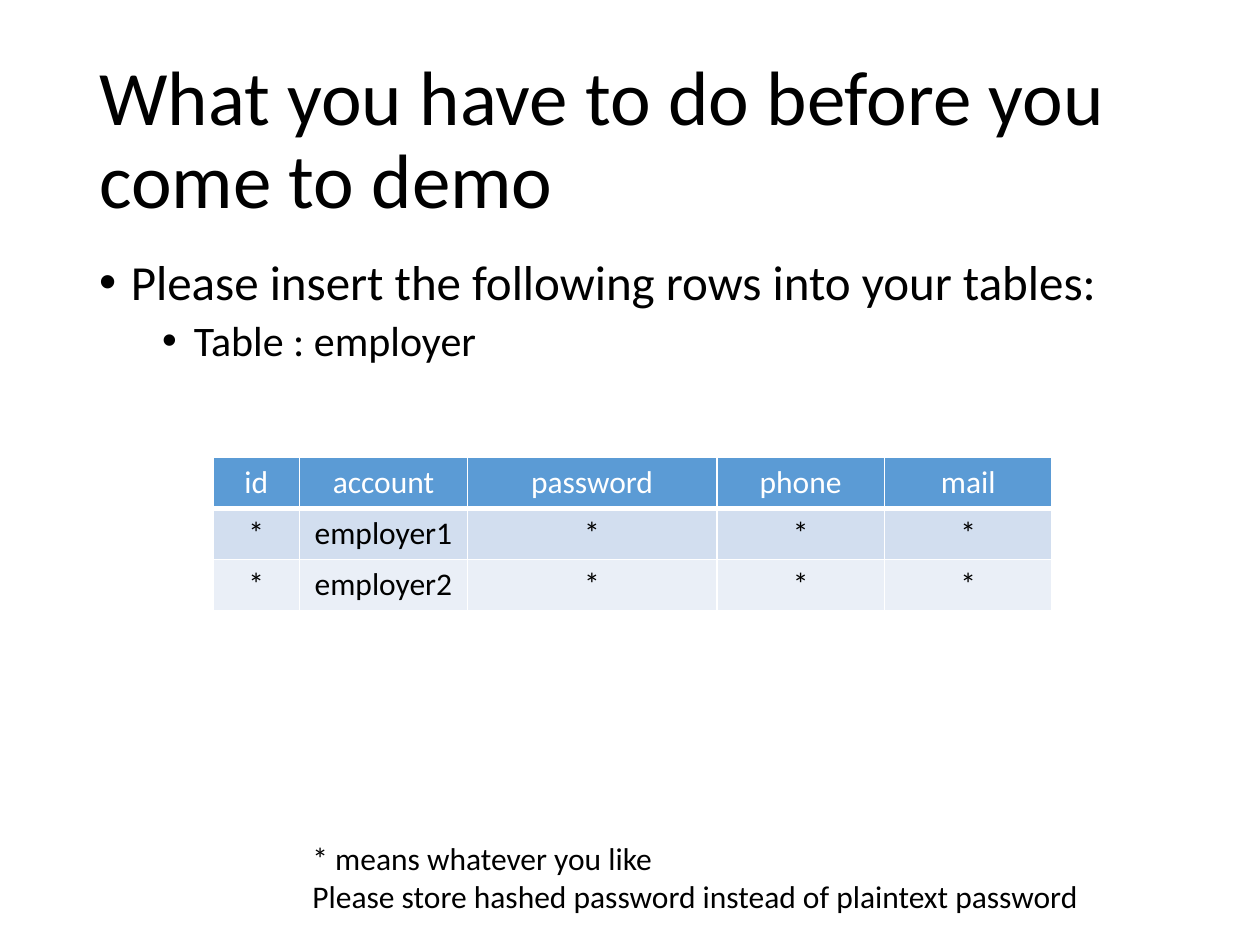
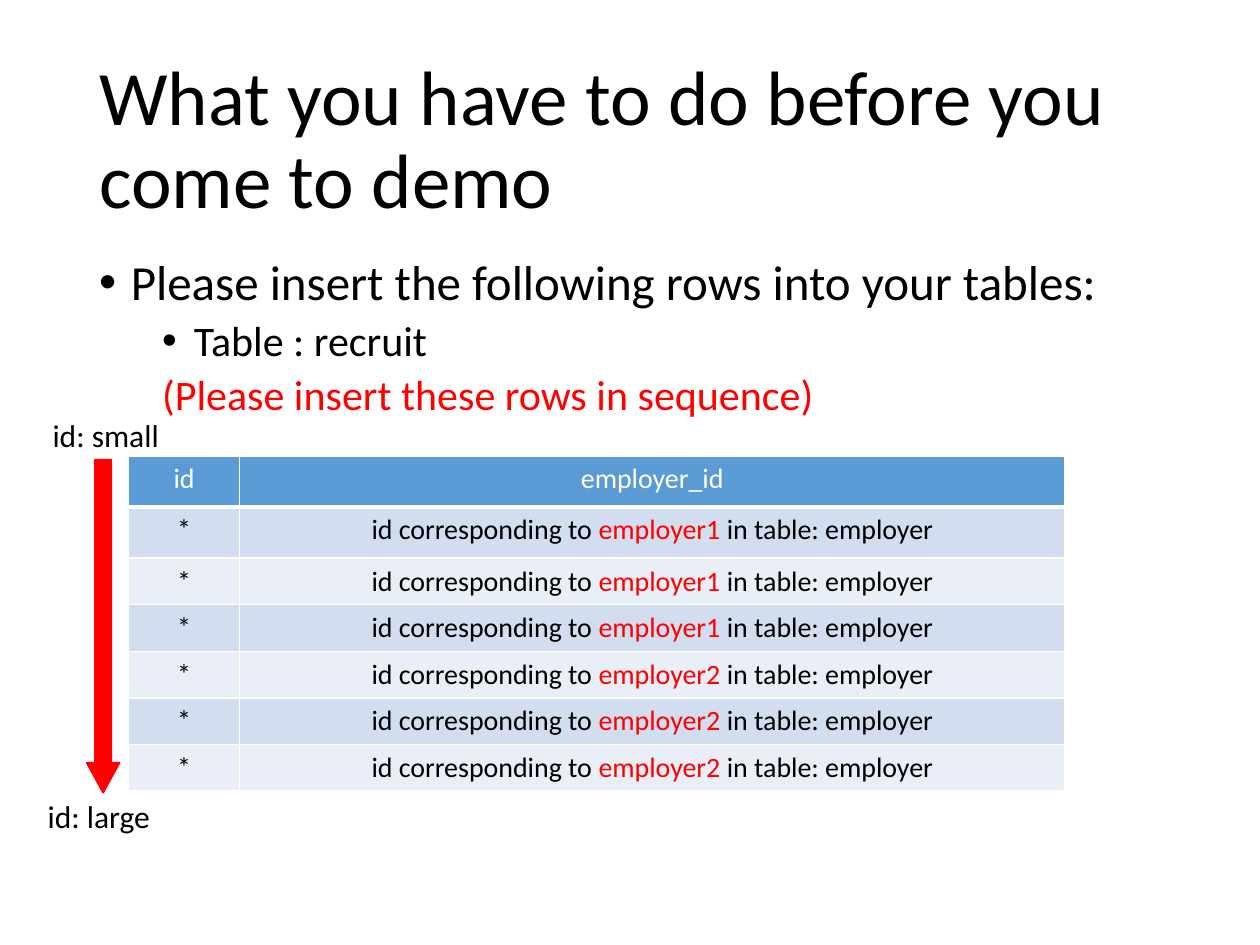
"""Build two slides listing the table rows to insert before the demo."""
from lxml.etree import SubElement
from pptx import Presentation
from pptx.dml.color import RGBColor
from pptx.enum.shapes import MSO_SHAPE as Shape
from pptx.enum.text import MSO_ANCHOR as Anchor, PP_ALIGN as Align
from pptx.oxml.ns import qn
from pptx.util import Cm, Pt

BLACK, WHITE, RED = "000000", "FFFFFF", "FF0000"
HEADER_BLUE = "5B9BD5"
BANDS = ["D2DEEF", "EAEFF7"]
TITLE = "What you have to do before you come to demo"
REQUEST = "Please insert the following rows into your tables:"


def rgb(code):
    return RGBColor.from_string(code)


def write(paragraph, text, size, color=BLACK, marked=""):
    font = paragraph.font
    font.name, font.size, font.bold = "Calibri", Pt(size), False
    font.color.rgb = rgb(color)
    before, mark, after = text.partition(marked) if marked else (text, "", "")
    for part in filter(None, (before, mark, after)):
        run = paragraph.add_run()
        run.text = part
        if part == marked:
            run.font.color.rgb = rgb(RED)


employer_rows = [["id", "account", "password", "phone", "mail"]]
employer_rows += [["*", account, "*", "*", "*"] for account in ("employer1", "employer2")]
recruit_rows = [["id", "employer_id"]]
recruit_rows += [["*", f"id corresponding to {account} in table: employer"]
                 for account in ["employer1"] * 3 + ["employer2"] * 3]

pages = [
    dict(outline=[(REQUEST, 28, 0, 0.64, "•"), ("Table : employer", 24, 1, 1.91, "•")],
         corner=(4.29, 9.22), widths=[1.75, 3.38, 5.03, 3.38, 3.38],
         heights=[1.03] * 3, size=18, rows=employer_rows, marks=[""] * 3,
         labels=[(6.05, 16.79, 18.97, 1.8, True,
                  ["* means whatever you like",
                   "Please store hashed password instead of plaintext password"])]),
    dict(outline=[(REQUEST, 28, 0, 0.64, "•"), ("Table : recruit", 24, 1, 1.91, "•"),
                  ("(Please insert these rows in sequence)", 24, 1, 1.27, "")],
         corner=(2.59, 9.19), widths=[2.24, 16.64],
         heights=[1.03] * 2 + [0.94] * 5, size=16, rows=recruit_rows,
         marks=[""] + ["employer1"] * 3 + ["employer2"] * 3,
         labels=[(0.81, 8.26, 2.7, 1.02, False, ["id: small"]),
                 (0.71, 15.95, 2.62, 1.02, False, ["id: large"])]),
]

deck = Presentation()
deck.slide_width, deck.slide_height = Cm(25.4), Cm(19.05)

for page in pages:
    slide = deck.slides.add_slide(deck.slide_layouts[6])

    title = slide.shapes.add_textbox(Cm(1.75), Cm(1.02), Cm(21.9), Cm(3.68)).text_frame
    title.word_wrap, title.vertical_anchor = True, Anchor.MIDDLE
    title.paragraphs[0].line_spacing = 0.9
    write(title.paragraphs[0], TITLE, 44)

    outline = slide.shapes.add_textbox(Cm(1.75), Cm(5.08), Cm(21.9), Cm(2.72)).text_frame
    outline.word_wrap = True
    for index, (text, size, level, indent, bullet) in enumerate(page["outline"]):
        line = outline.add_paragraph() if index else outline.paragraphs[0]
        line.level, line.line_spacing = level, 0.9
        line.space_before = Pt(5 if level else 10)
        properties = line._p.get_or_add_pPr()
        properties.set("marL", str(Cm(indent)))
        properties.set("indent", str(-Cm(0.64) if bullet else 0))
        if bullet:
            SubElement(properties, qn("a:buFont"), typeface="Arial")
            SubElement(properties, qn("a:buChar"), char=bullet)
        else:
            SubElement(properties, qn("a:buNone"))
        write(line, text, size, BLACK if bullet else RED)

    left, top = page["corner"]
    widths, heights = page["widths"], page["heights"]
    table = slide.shapes.add_table(len(heights), len(widths), Cm(left), Cm(top),
                                   Cm(sum(widths)), Cm(sum(heights))).table
    for column, width in zip(table.columns, widths):
        column.width = Cm(width)
    for row, height in zip(table.rows, heights):
        row.height = Cm(height)
    for r, (values, marked) in enumerate(zip(page["rows"], page["marks"])):
        for c, value in enumerate(values):
            cell = table.cell(r, c)
            for side in ("lnL", "lnR", "lnT", "lnB"):
                thickness = Pt(3 if r == 0 and side == "lnB" else 1)
                border = SubElement(cell._tc.get_or_add_tcPr(), qn(f"a:{side}"), w=str(thickness))
                SubElement(SubElement(border, qn("a:solidFill")), qn("a:srgbClr"), val=WHITE)
            cell.fill.solid()
            cell.fill.fore_color.rgb = rgb(BANDS[(r - 1) % 2] if r else HEADER_BLUE)
            entry = cell.text_frame.paragraphs[0]
            entry.alignment = Align.CENTER
            write(entry, value, page["size"], BLACK if r else WHITE, marked)

    for x, y, width, height, wrap, lines in page["labels"]:
        label = slide.shapes.add_textbox(Cm(x), Cm(y), Cm(width), Cm(height)).text_frame
        label.word_wrap = wrap
        for index, text in enumerate(lines):
            write(label.add_paragraph() if index else label.paragraphs[0], text, 18)

sequence = slide.shapes.add_shape(Shape.DOWN_ARROW, Cm(1.75), Cm(9.27), Cm(0.66), Cm(6.71))
sequence.adjustments[0], sequence.adjustments[1] = 0.5, 0.91
sequence.shadow.inherit = False
sequence.fill.solid()
sequence.fill.fore_color.rgb = sequence.line.color.rgb = rgb(RED)
sequence.line.width = Pt(1)

deck.save("out.pptx")
